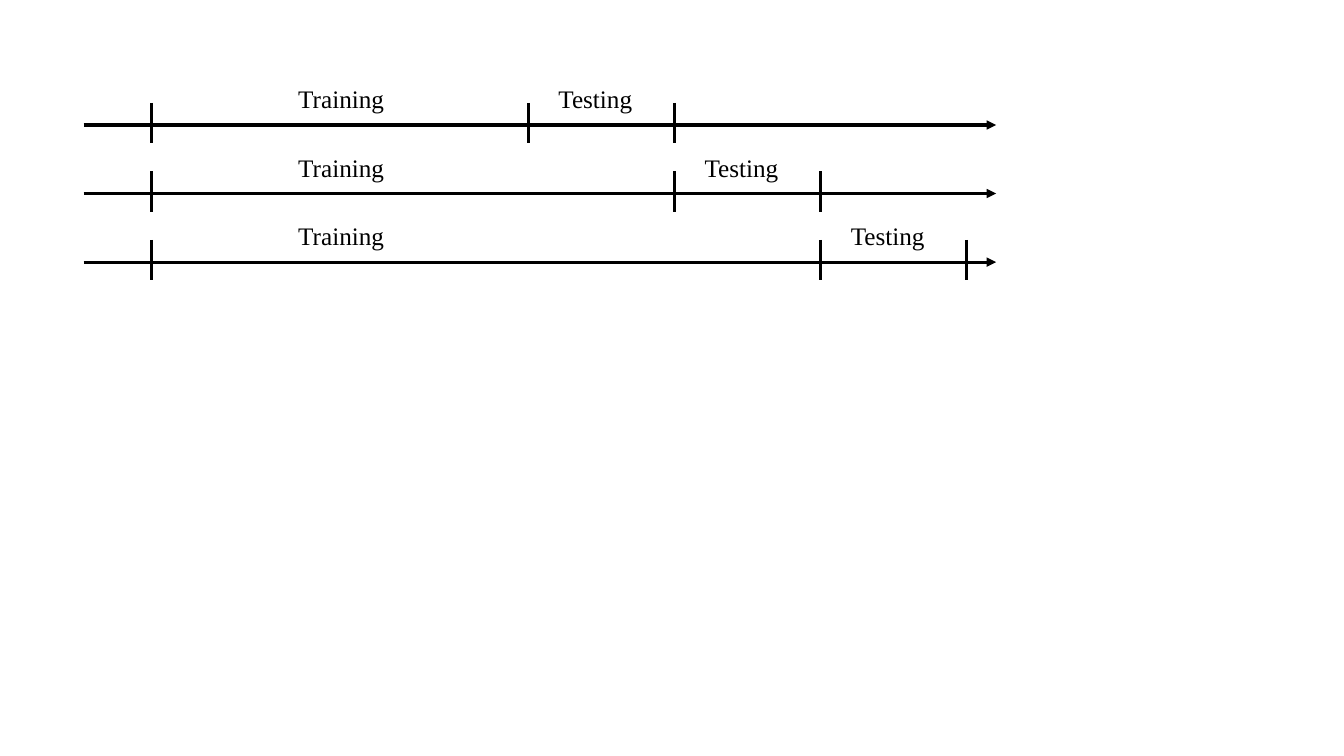
from lxml import etree
from pptx import Presentation
from pptx.dml.color import RGBColor
from pptx.enum.shapes import MSO_CONNECTOR
from pptx.enum.text import MSO_AUTO_SIZE
from pptx.oxml.ns import qn
from pptx.util import Inches, Pt

STRAIGHT = MSO_CONNECTOR.STRAIGHT
FIT_SHAPE = MSO_AUTO_SIZE.SHAPE_TO_FIT_TEXT
COLORS = {"ink": "000000"}
FONT = "Times New Roman"

# Timeline grid, in inches
AXIS_LEFT, AXIS_RIGHT = 0.83, 9.88
FIRST_ROW, ROW_STEP, ROWS = 1.24, 0.68, 3
TRAIN_START, FIRST_SPLIT, TEST_SPAN = 1.5, 5.24, 1.45
TICK_UP, TICK_DOWN = 0.22, 0.18
LABEL_UP, LABEL_HEIGHT = 0.46, 0.4


def add_line(shapes, x1, y1, x2, y2, arrow=False):
    """Add a shadowless straight line, with an optional arrowhead at its end."""
    line = shapes.add_connector(
        STRAIGHT, Inches(x1), Inches(y1), Inches(x2), Inches(y2))
    line.line.color.rgb = RGBColor.from_string(COLORS["ink"])
    line.line.width = Pt(2.25)
    if arrow:
        etree.SubElement(line.line._get_or_add_ln(), qn("a:tailEnd"), type="triangle")
    etree.SubElement(line._element.spPr, qn("a:effectLst"))


def add_label(shapes, text, x, y, width):
    """Add a one-line label that does not wrap."""
    sp = shapes.add_textbox(Inches(x), Inches(y), Inches(width), Inches(LABEL_HEIGHT))
    tf = sp.text_frame
    tf.word_wrap = False
    tf.auto_size = FIT_SHAPE
    r = tf.paragraphs[0].add_run()
    r.text = text
    r.font.name = FONT
    r.font.size = Pt(18)
    r.font.color.rgb = RGBColor.from_string(COLORS["ink"])


prs = Presentation()
prs.slide_width, prs.slide_height = Inches(13.33), Inches(7.5)
s = prs.slides.add_slide(prs.slide_layouts[6])

# Each fold trains up to a later split and tests on the next span
for fold in range(ROWS):
    y = FIRST_ROW + fold * ROW_STEP
    split = FIRST_SPLIT + fold * TEST_SPAN
    shapes = s.shapes.add_group_shape().shapes

    add_line(shapes, AXIS_LEFT, y, AXIS_RIGHT, y, arrow=True)
    for x in (TRAIN_START, split, split + TEST_SPAN):
        add_line(shapes, x, y - TICK_UP, x, y + TICK_DOWN)
    add_label(shapes, "Testing", split + 0.2, y - LABEL_UP, 0.94)
    add_label(shapes, "Training", 2.86, y - LABEL_UP, 1.06)

prs.save("out.pptx")
